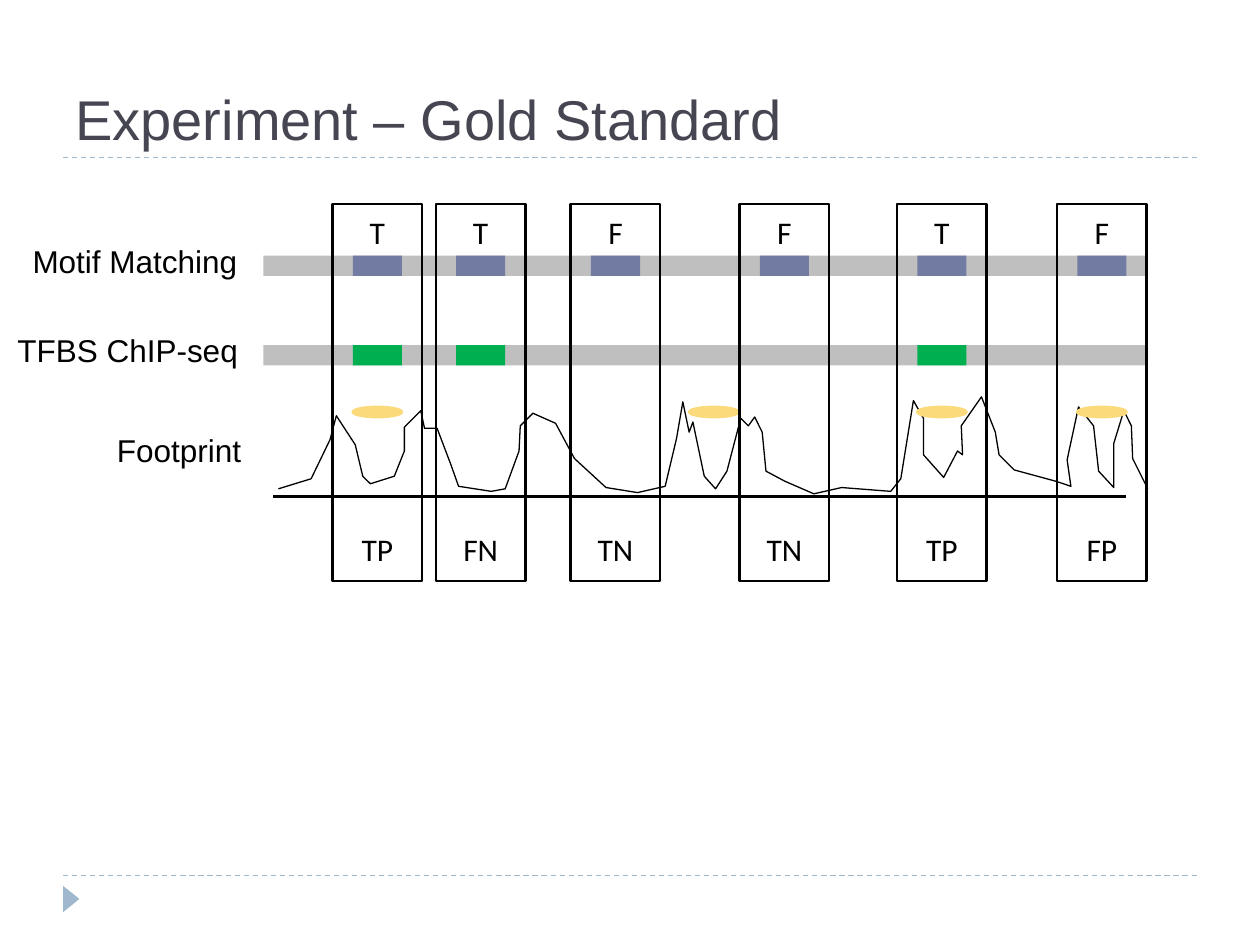
from lxml.etree import SubElement
from pptx import Presentation
from pptx.dml.color import RGBColor as RGB
from pptx.enum.dml import MSO_LINE as DASH
from pptx.enum.shapes import MSO_CONNECTOR as LINK, MSO_SHAPE as SHAPE
from pptx.enum.text import MSO_ANCHOR as ANCHOR, PP_ALIGN as ALIGN
from pptx.oxml.ns import qn
from pptx.util import Pt

PX = 9144  # EMU in one px; the slide is 1000 px wide

BLACK = RGB(0x00, 0x00, 0x00)
SLATE = RGB(0x46, 0x46, 0x53)
SKY = RGB(0x9F, 0xB8, 0xCD)
GREY = RGB(0xBF, 0xBF, 0xBF)
INDIGO = RGB(0x72, 0x7C, 0xA3)
GREEN = RGB(0x00, 0xB0, 0x50)
GOLD = RGB(0xFA, 0xDA, 0x7A)

# Left edge, motif match, verdict, ChIP-seq peak present
SITES = [
    (264, "T", "TP", True),
    (346, "T", "FN", True),
    (453, "F", "TN", False),
    (587, "F", "TN", False),
    (712, "T", "TP", True),
    (839, "F", "FP", False),
]
INSET = 16  # from the left edge of a site to its marks
PRINTS = [280, 547, 728, 855]  # left edges of the footprint ovals

# Turning points of the footprint signal
SIGNAL = [
    (221, 388), (247, 380), (262, 349), (267, 330), (282, 353), (288, 378),
    (294, 384), (313, 378), (321, 358), (321, 339), (334, 326), (337, 340),
    (347, 340), (358, 369), (364, 386), (390, 390), (401, 388), (412, 358),
    (413, 338), (423, 328), (441, 336), (456, 364), (481, 387), (506, 391),
    (528, 386), (537, 348), (542, 319), (547, 343), (550, 335), (559, 378),
    (568, 388), (577, 374), (588, 332), (594, 338), (599, 331), (605, 343),
    (608, 374), (623, 382), (646, 392), (668, 387), (707, 390), (715, 380),
    (725, 318), (733, 332), (733, 361), (749, 379), (760, 358), (764, 361),
    (763, 338), (779, 315), (790, 343), (793, 361), (805, 373), (838, 382),
    (850, 386), (847, 365), (856, 323), (868, 338), (872, 374), (884, 387),
    (884, 352), (892, 326), (898, 338), (899, 364), (911, 388),
]


def paint(item, fill=None, line=None, width=1.5):
    item.shadow.inherit = False
    if fill is None:
        item.fill.background()
    else:
        item.fill.solid()
        item.fill.fore_color.rgb = fill
    if line is None:
        item.line.fill.background()
    else:
        item.line.color.rgb = line
        item.line.width = Pt(width)


def block(slide, kind, box, fill=None, line=None):
    item = slide.shapes.add_shape(kind, *(n * PX for n in box))
    paint(item, fill, line)
    return item


def rule(slide, left, right, y, color, width, dash=None):
    ends = (n * PX for n in (left, y, right, y))
    link = slide.shapes.add_connector(LINK.STRAIGHT, *ends)
    link.line.color.rgb = color
    link.line.width = Pt(width)
    if dash:
        link.line.dash_style = dash
    SubElement(link._element.spPr, qn("a:effectLst"))


def label(slide, words, box, font="Arial", size=18, color=BLACK,
          align=ALIGN.LEFT, anchor=ANCHOR.TOP):
    frame = slide.shapes.add_textbox(*(n * PX for n in box)).text_frame
    frame.word_wrap = True
    frame.vertical_anchor = anchor
    para = frame.paragraphs[0]
    para.text = words
    para.alignment = align
    para.font.name = font
    para.font.size = Pt(size)
    para.font.color.rgb = color


def track(slide, top, fill, lefts):
    block(slide, SHAPE.RECTANGLE, (209, top, 701, 16), GREY)
    for left in lefts:
        block(slide, SHAPE.RECTANGLE, (left, top, 39, 16), fill)


def curve(slide, points):
    pen = slide.shapes.build_freeform(*points[0], scale=PX)
    pen.add_line_segments(points[1:], close=False)
    paint(pen.convert_to_shape(), line=BLACK, width=0.75)


def site(slide, left, match, verdict):
    block(slide, SHAPE.RECTANGLE, (left, 162, 71, 299), line=BLACK)
    for words, top in ((match, 164), (verdict, 416)):
        label(slide, words, (left, top, 71, 40), "Calibri", align=ALIGN.CENTER)


def main():
    deck = Presentation()
    deck.slide_width, deck.slide_height = 1000 * PX, 750 * PX
    slide = deck.slides.add_slide(deck.slide_layouts[6])

    # Frame and title
    for y in (695, 125):
        rule(slide, 50, 950, y, SKY, 0.75, DASH.DASH)
    mark = block(slide, SHAPE.ISOSCELES_TRIANGLE, (46, 707, 21, 13), SKY)
    mark.rotation = 90
    label(slide, "Experiment – Gold Standard", (50, 17, 900, 108),
          size=32, color=SLATE, anchor=ANCHOR.BOTTOM)

    # Row names
    label(slide, "Motif Matching", (16, 187, 185, 40))
    label(slide, "TFBS ChIP-seq", (4, 258, 201, 40))
    label(slide, "Footprint", (83, 337, 124, 40))

    # Motif row, footprint signal, ChIP-seq row
    track(slide, 203, INDIGO, [left + INSET for left, *_ in SITES])
    rule(slide, 217, 894, 394, BLACK, 1.5)
    curve(slide, SIGNAL)
    for left in PRINTS:
        block(slide, SHAPE.OVAL, (left, 323, 39, 8), GOLD, GOLD)
    track(slide, 274, GREEN, [left + INSET for left, *_, peak in SITES if peak])

    # Candidate sites
    for left, match, verdict, _ in SITES:
        site(slide, left, match, verdict)

    deck.save("out.pptx")


if __name__ == "__main__":
    main()
